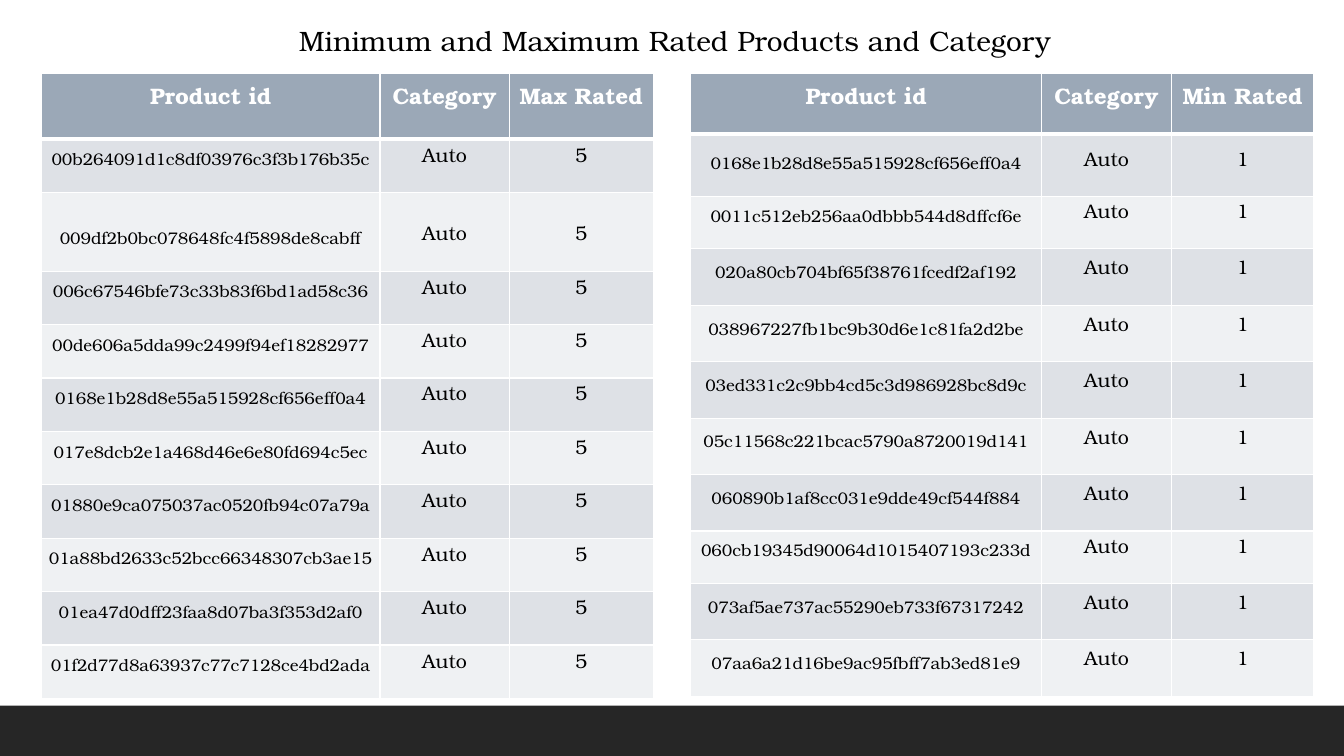
from dataclasses import dataclass

from lxml import etree
from pptx import Presentation
from pptx import util as u
from pptx.dml.color import RGBColor
from pptx.enum import shapes, text
from pptx.oxml import ns


@dataclass(frozen=True)
class Theme:
    font: str = "TeX Gyre Bonum"
    ink: str = "000000"
    paper: str = "FFFFFF"
    footer: str = "262626"
    header: str = "9BA8B7"
    bands: tuple[str, str] = ("DEE1E6", "EFF1F3")
    title_size: int = 20
    header_size: int = 16
    id_size: int = 12
    value_size: int = 14
    thin: int = 1
    thick: int = 3


@dataclass(frozen=True)
class RatingTable:
    left: float
    heading: str
    rating: str
    widths: tuple[float, ...]
    heights: tuple[float, ...]
    product_ids: tuple[str, ...]


THEME = Theme()
TABLE_TOP = 0.73
TABLES = (
    RatingTable(
        0.41, "Max Rated", "5", (3.36, 1.28, 1.43),
        (0.65, 0.53, 0.78) + (0.53,) * 8,
        (
            "00b264091d1c8df03976c3f3b176b35c",
            "009df2b0bc078648fc4f5898de8cabff",
            "006c67546bfe73c33b83f6bd1ad58c36",
            "00de606a5dda99c2499f94ef18282977",
            "0168e1b28d8e55a515928cf656eff0a4",
            "017e8dcb2e1a468d46e6e80fd694c5ec",
            "01880e9ca075037ac0520fb94c07a79a",
            "01a88bd2633c52bcc66348307cb3ae15",
            "01ea47d0dff23faa8d07ba3f353d2af0",
            "01f2d77d8a63937c77c7128ce4bd2ada",
        ),
    ),
    RatingTable(
        6.85, "Min Rated", "1", (3.48, 1.29, 1.41),
        (0.6, 0.62, 0.52) + (0.56,) * 5 + (0.52, 0.56, 0.56),
        (
            "0168e1b28d8e55a515928cf656eff0a4",
            "0011c512eb256aa0dbbb544d8dffcf6e",
            "020a80cb704bf65f38761fcedf2af192",
            "038967227fb1bc9b30d6e1c81fa2d2be",
            "03ed331c2c9bb4cd5c3d986928bc8d9c",
            "05c11568c221bcac5790a8720019d141",
            "060890b1af8cc031e9dde49cf544f884",
            "060cb19345d90064d1015407193c233d",
            "073af5ae737ac55290eb733f67317242",
            "07aa6a21d16be9ac95fbff7ab3ed81e9",
        ),
    ),
)


def apply(target: object, values: dict) -> None:
    for name, value in values.items():
        setattr(target, name, value)


def write(frame, words: str, size: int, color: str, bold: bool = False) -> None:
    frame.text = words
    line = frame.paragraphs[0]
    line.alignment = text.PP_ALIGN.CENTER
    font = line.runs[0].font
    apply(font, {"name": THEME.font, "size": u.Pt(size), "bold": bold})
    font.color.rgb = RGBColor.from_string(color)


def paint(fill, color: str) -> None:
    fill.solid()
    fill.fore_color.rgb = RGBColor.from_string(color)


def rule_cell(cell, row: int) -> None:
    widths = {
        "a:lnL": THEME.thin,
        "a:lnR": THEME.thin,
        "a:lnT": THEME.thick if row == 1 else THEME.thin,
        "a:lnB": THEME.thick if row == 0 else THEME.thin,
    }
    properties = cell._tc.get_or_add_tcPr()
    for edge, width in widths.items():
        line = etree.SubElement(properties, ns.qn(edge), w=str(u.Pt(width)))
        solid = etree.SubElement(line, ns.qn("a:solidFill"))
        etree.SubElement(solid, ns.qn("a:srgbClr"), val=THEME.paper)


def format_cell(cell, words: str, row: int, column: int) -> None:
    rule_cell(cell, row)
    if row == 0:
        paint(cell.fill, THEME.header)
        write(cell.text_frame, words, THEME.header_size, THEME.paper, True)
        return
    paint(cell.fill, THEME.bands[(row - 1) % 2])
    apply(cell, {
        "vertical_anchor": text.MSO_ANCHOR.BOTTOM,
        "margin_left": u.Inches(0.01),
        "margin_right": u.Inches(0.01),
        "margin_top": u.Inches(0.01),
        "margin_bottom": u.Inches(0.25 if column else 0.22),
    })
    size = THEME.value_size if column else THEME.id_size
    write(cell.text_frame, words, size, THEME.ink)


def add_rating_table(slide, ratings: RatingTable) -> None:
    rows = [("Product id", "Category", ratings.heading)]
    rows += [(product, "Auto", ratings.rating) for product in ratings.product_ids]
    table = slide.shapes.add_table(
        len(rows), len(ratings.widths), u.Inches(ratings.left), u.Inches(TABLE_TOP),
        u.Inches(sum(ratings.widths)), u.Inches(sum(ratings.heights)),
    ).table
    for column, width in zip(table.columns, ratings.widths):
        column.width = u.Inches(width)
    for row, height in zip(table.rows, ratings.heights):
        row.height = u.Inches(height)
    for r, values in enumerate(rows):
        for c, words in enumerate(values):
            format_cell(table.cell(r, c), words, r, c)


def add_footer_band(slide) -> None:
    band = slide.shapes.add_shape(
        shapes.MSO_SHAPE.RECTANGLE, 0, u.Inches(7), u.Inches(13.33), u.Inches(0.5)
    )
    band.shadow.inherit = False
    paint(band.fill, THEME.footer)
    band.line.fill.background()


def set_title(slide) -> None:
    title = slide.shapes.title
    apply(title, {
        "left": u.Inches(0.49),
        "top": u.Inches(0.18),
        "width": u.Inches(12.41),
        "height": u.Inches(0.44),
    })
    apply(title.text_frame, {
        "word_wrap": True,
        "auto_size": text.MSO_AUTO_SIZE.SHAPE_TO_FIT_TEXT,
        "vertical_anchor": text.MSO_ANCHOR.TOP,
    })
    write(title.text_frame, "Minimum and Maximum Rated Products and Category",
          THEME.title_size, THEME.ink)


def main() -> None:
    deck = Presentation()
    apply(deck, {"slide_width": u.Inches(13.33), "slide_height": u.Inches(7.5)})
    slide = deck.slides.add_slide(deck.slide_layouts.get_by_name("Title Only"))
    paint(slide.background.fill, THEME.paper)
    add_footer_band(slide)
    for ratings in TABLES:
        add_rating_table(slide, ratings)
    set_title(slide)
    deck.save("out.pptx")


if __name__ == "__main__":
    main()
